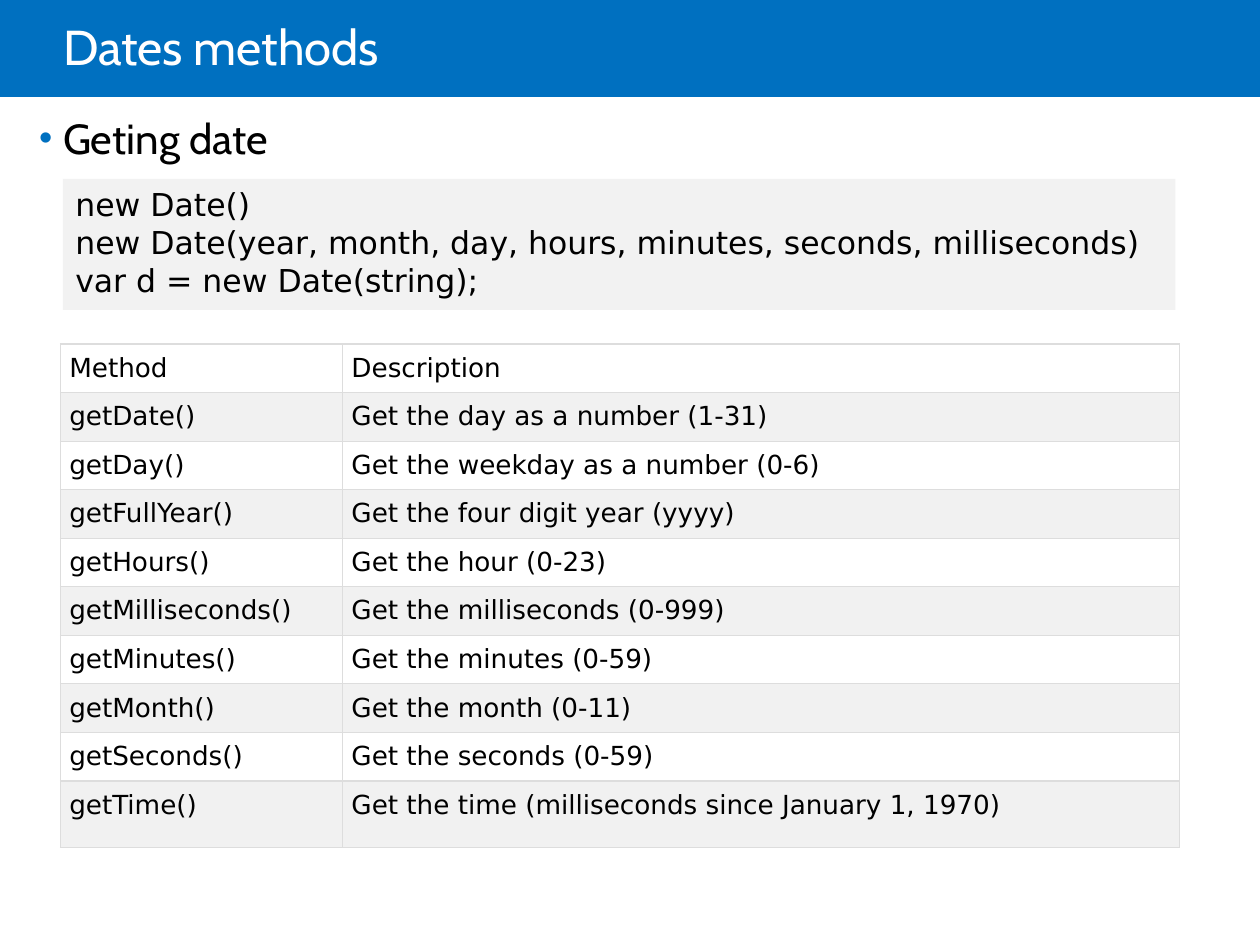
from lxml import etree
from pptx import Presentation
from pptx.dml.color import RGBColor
from pptx.enum.shapes import MSO_SHAPE
from pptx.enum.text import MSO_ANCHOR, MSO_AUTO_SIZE, PP_ALIGN
from pptx.oxml.ns import qn
from pptx.util import Inches, Pt

RECTANGLE = MSO_SHAPE.RECTANGLE
TOP, MIDDLE = MSO_ANCHOR.TOP, MSO_ANCHOR.MIDDLE
LEFT = PP_ALIGN.LEFT
NO_AUTOFIT = MSO_AUTO_SIZE.NONE

COLOURS = {
    "blue": "0070C0",
    "white": "FFFFFF",
    "black": "000000",
    "code": "F2F2F2",
    "stripe": "F1F1F1",
    "border": "DDDDDD",
}
HEADING_FONT = "Cabin"
TEXT_FONT = "DejaVu Sans"

CODE = [
    "new Date()\vnew Date(year, month, day, hours, minutes, seconds, milliseconds)",
    "var d = new Date(string);",
]
METHODS = [
    ("Method", "Description"),
    ("getDate()", "Get the day as a number (1-31)"),
    ("getDay()", "Get the weekday as a number (0-6)"),
    ("getFullYear()", "Get the four digit year (yyyy)"),
    ("getHours()", "Get the hour (0-23)"),
    ("getMilliseconds()", "Get the milliseconds (0-999)"),
    ("getMinutes()", "Get the minutes (0-59)"),
    ("getMonth()", "Get the month (0-11)"),
    ("getSeconds()", "Get the seconds (0-59)"),
    ("getTime()", "Get the time (milliseconds since January 1, 1970)"),
]
COLUMN_WIDTHS = (2.24, 6.64)
TABLE_HEIGHT, LAST_ROW_HEIGHT = 4, 0.53


def colour(name):
    return RGBColor.from_string(COLOURS[name])


def set_values(target, values):
    for name, value in values.items():
        setattr(target, name, value)


def place(box, left, top, width, height):
    lengths = {"left": left, "top": top, "width": width, "height": height}
    set_values(box, {name: Inches(value) for name, value in lengths.items()})


def set_margins(target, left, top, right, bottom):
    lengths = {"left": left, "top": top, "right": right, "bottom": bottom}
    set_values(target, {f"margin_{side}": Inches(value) for side, value in lengths.items()})


def format_text(frame, font, size, shade, **layout):
    for para in frame.paragraphs:
        set_values(para, {"alignment": LEFT, "space_before": Pt(0), **layout})
        for span in para.runs:
            set_values(span.font, {"name": font, "size": Pt(size)})
            span.font.color.rgb = colour(shade)


def add_bullet(para, indent):
    properties = para._p.get_or_add_pPr()
    properties.set("marL", str(Inches(indent)))
    properties.set("indent", str(-Inches(indent)))
    bullet_colour = etree.SubElement(properties, qn("a:buClr"))
    etree.SubElement(bullet_colour, qn("a:srgbClr"), val=COLOURS["blue"])
    etree.SubElement(properties, qn("a:buSzPct"), val="90000")
    etree.SubElement(properties, qn("a:buFont"), typeface="Arial")
    etree.SubElement(properties, qn("a:buChar"), char="•")


def add_panel(page, fill, *position):
    panel = page.shapes.add_shape(RECTANGLE, *map(Inches, position))
    panel.shadow.inherit = False
    panel.fill.solid()
    panel.fill.fore_color.rgb = colour(fill)
    panel.line.fill.background()
    return panel


def add_title_band(page):
    band = add_panel(page, "blue", 0, 0, 10, 0.77)
    page.shapes.element.insert(2, band.element)


def fill_title(page, text):
    title = page.shapes.title
    place(title, 0.5, 0, 8.5, 0.81)
    frame = title.text_frame
    frame.text = text
    set_values(frame, {"vertical_anchor": MIDDLE, "auto_size": NO_AUTOFIT})
    set_margins(frame, 0, 0.05, 0.1, 0.05)
    format_text(frame, HEADING_FONT, 28, "white", line_spacing=0.85)


def fill_body(page, text):
    body = page.placeholders[1]
    place(body, 0.31, 0.89, 8.88, 5.63)
    frame = body.text_frame
    frame.text = text
    set_values(frame, {"vertical_anchor": TOP, "auto_size": NO_AUTOFIT})
    set_margins(frame, 0, 0, 0, 0)
    add_bullet(frame.paragraphs[0], 0.19)
    format_text(frame, HEADING_FONT, 24, "black")


def add_code(page, lines):
    frame = add_panel(page, "code", 0.5, 1.42, 8.83, 1.04).text_frame
    frame.text = "\n".join(lines)
    set_values(frame, {"word_wrap": True, "vertical_anchor": TOP})
    format_text(frame, TEXT_FONT, 18, "black")


def add_borders(cell):
    properties = cell._tc.get_or_add_tcPr()
    for side in ("lnL", "lnR", "lnT", "lnB"):
        line = etree.SubElement(properties, qn(f"a:{side}"), w=str(Pt(0.75)))
        fill = etree.SubElement(line, qn("a:solidFill"))
        etree.SubElement(fill, qn("a:srgbClr"), val=COLOURS["border"])


def fill_cell(cell, text, fill):
    cell.text = text
    set_margins(cell, 0.07, 0.07, 0.07, 0.07)
    cell.vertical_anchor = TOP
    add_borders(cell)
    cell.fill.solid()
    cell.fill.fore_color.rgb = colour(fill)
    format_text(cell.text_frame, TEXT_FONT, 15, "black")


def add_methods_table(page, rows):
    position = (0.48, 2.73, sum(COLUMN_WIDTHS), TABLE_HEIGHT)
    table = page.shapes.add_table(len(rows), len(COLUMN_WIDTHS), *map(Inches, position)).table
    set_values(table, {"first_row": False, "horz_banding": False})
    for column, width in zip(table.columns, COLUMN_WIDTHS):
        column.width = Inches(width)
    row_height = (TABLE_HEIGHT - LAST_ROW_HEIGHT) / (len(rows) - 1)
    for index, texts in enumerate(rows):
        is_last = index == len(rows) - 1
        table.rows[index].height = Inches(LAST_ROW_HEIGHT if is_last else row_height)
        fill = "stripe" if index % 2 else "white"
        for column_index, text in enumerate(texts):
            fill_cell(table.cell(index, column_index), text, fill)


def main():
    deck = Presentation()
    set_values(deck, {"slide_width": Inches(10), "slide_height": Inches(7.5)})
    page = deck.slides.add_slide(deck.slide_layouts[1])
    add_title_band(page)
    fill_title(page, "Dates methods")
    fill_body(page, "Geting date")
    add_code(page, CODE)
    add_methods_table(page, METHODS)
    deck.save("out.pptx")


if __name__ == "__main__":
    main()
